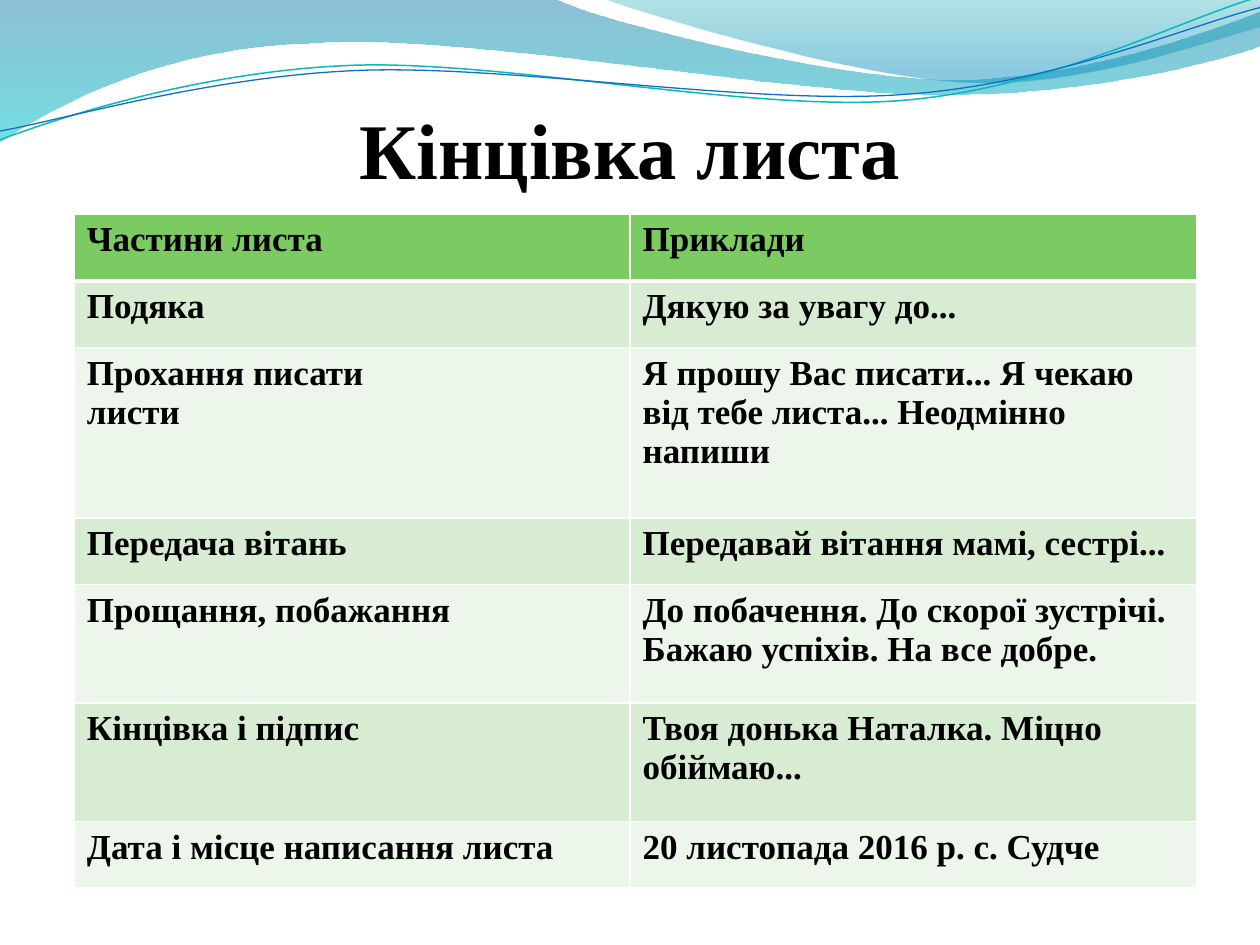
from pptx import Presentation
from pptx.dml.color import RGBColor as Rgb
from pptx.enum.text import MSO_ANCHOR as Anchor, PP_ALIGN as Align
from pptx.oxml import parse_xml
from pptx.oxml.ns import nsdecls, qn
from pptx.util import Inches, Pt
from lxml.etree import SubElement

UNIT = Inches(1)
COLS, ROWS = 10, 7.5
FONT = "Times New Roman"
BLACK = Rgb(0x00, 0x00, 0x00)
WHITE = Rgb(0xFF, 0xFF, 0xFF)
HEAD = Rgb(0x7C, 0xCA, 0x62)
BANDS = [Rgb(0xEC, 0xF6, 0xEA), Rgb(0xD7, 0xEC, 0xD3)]
BLUE = Rgb(0x00, 0x74, 0xA1)
AQUA = Rgb(0x00, 0xC6, 0xCF)
TEAL = Rgb(0x00, 0xA1, 0xA9)
SKY = Rgb(0x00, 0x8B, 0xBF)
CYAN = Rgb(0x0A, 0xB8, 0xBF)
NAVY = Rgb(0x0F, 0x6F, 0xC6)

FILLS = [
    ([(0, 0), (4.4, -0.01),
      (4.76, 0.17, 6.64, 0.63, 7.58, 0.63), (8.53, 0.63, 9.58, 0.26, 10, 0.09),
      (10.01, 0.36),
      (9.83, 0.44, 8.7, 0.76, 7.46, 0.75), (6.22, 0.75, 3.82, 0.28, 2.57, 0.34),
      (1.29, 0.36, 0.46, 0.83, -0.01, 1.13)],
     [(0, BLUE, 45), (1, AQUA, 55)]),
    ([(4.79, -0.01),
      (5.09, 0.11, 6.82, 0.62, 7.69, 0.65), (8.56, 0.69, 9.61, 0.32, 10, 0.21),
      (10, 0)],
     [(0, TEAL, 30), (0.8, SKY, 45)]),
]
LINES = [
    ([(0, 1.11), (0.48, 0.93, 1.58, 0.57, 2.77, 0.52),
      (3.95, 0.47, 5.93, 0.89, 7.13, 0.8), (8.33, 0.71, 9.38, 0.15, 9.98, -0.02)],
     CYAN, 0.85),
    ([(0, 1.04), (0.47, 0.96, 1.64, 0.61, 2.83, 0.56),
      (4.03, 0.51, 5.97, 0.84, 7.17, 0.75), (8.36, 0.67, 9.41, 0.21, 10, 0.06)],
     NAVY, 0.75),
]
WIDTHS = [4.41, 4.5]
TABLE = [
    (0.53, "Частини листа", "Приклади"),
    (0.53, "Подяка", "Дякую за увагу до..."),
    (1.35, "Прохання писати\nлисти",
     "Я прошу Вас писати... Я чекаю від тебе листа... Неодмінно напиши"),
    (0.53, "Передача вітань", "Передавай вітання мамі, сестрі..."),
    (0.94, "Прощання, побажання",
     "До побачення. До скорої зустрічі. Бажаю успіхів. На все добре."),
    (0.94, "Кінцівка і підпис", "Твоя донька Наталка. Міцно обіймаю..."),
    (0.53, "Дата і місце написання листа", "20 листопада 2016 р. с. Судче"),
]


def grid(*cells):
    return [round(cell * UNIT) for cell in cells]


def style(frame, size):
    for para in frame.paragraphs:
        for run in para.runs:
            run.font.name = FONT
            run.font.size = Pt(size)
            run.font.bold = True
            run.font.color.rgb = BLACK


def bend(shape, path):
    legs = iter(list(shape._element.spPr.iter(qn("a:lnTo"))))
    for part in path[1:]:
        first = next(legs)
        if len(part) == 6:
            first.tag = qn("a:cubicBezTo")
            for leg in (next(legs), next(legs)):
                first.append(leg[0])
                leg.getparent().remove(leg)


def curve(slide, box, path, close):
    left, top = box[:2]
    dots = [grid(left + part[i], top + part[i + 1])
            for part in path for i in range(0, len(part), 2)]
    pen = slide.shapes.build_freeform(*dots[0])
    pen.add_line_segments(dots[1:], close=False)
    shape = pen.convert_to_shape()
    shape.shadow.inherit = False
    bend(shape, path)
    if close:
        SubElement(next(shape._element.spPr.iter(qn("a:path"))), qn("a:close"))
    return shape


def shade(shape, stops):
    shape.line.fill.background()
    shape.fill.gradient()
    shape.fill.gradient_angle = 270
    for stop, (place, color, alpha) in zip(shape.fill.gradient_stops, stops):
        stop.position = place
        stop.color.rgb = color
    tints = shape._element.spPr.iter(qn("a:srgbClr"))
    for tint, (_, _, alpha) in zip(list(tints), stops):
        SubElement(tint, qn("a:alpha"), val=str(alpha * 1000))


def add_waves(slide, box):
    for path, stops in FILLS:
        shade(curve(slide, box, path, True), stops)
    for path, color, width in LINES:
        shape = curve(slide, box, path, False)
        shape.fill.background()
        shape.line.color.rgb = color
        shape.line.width = Pt(width)


def add_title(slide, box):
    frame = slide.shapes.add_textbox(*grid(*box)).text_frame
    frame.word_wrap = True
    frame.vertical_anchor = Anchor.BOTTOM
    frame.margin_left = frame.margin_right = frame.margin_bottom = 0
    frame.margin_top = UNIT // 20
    frame.text = "Кінцівка листа"
    frame.paragraphs[0].alignment = Align.CENTER
    style(frame, 45)


def edge(cell, row):
    props = cell._tc.get_or_add_tcPr()
    sizes = {"lnL": 1, "lnR": 1, "lnT": 3 if row == 1 else 1, "lnB": 3 if row == 0 else 1}
    for spot, (tag, size) in enumerate(sizes.items()):
        props.insert(spot, parse_xml(
            f'<a:{tag} {nsdecls("a")} w="{Pt(size)}"><a:solidFill>'
            f'<a:srgbClr val="{WHITE}"/></a:solidFill></a:{tag}>'))


def add_parts(slide, box):
    table = slide.shapes.add_table(len(TABLE), len(WIDTHS), *grid(*box)).table
    for col, width in zip(table.columns, grid(*WIDTHS)):
        col.width = width
    for row, (height, *texts) in enumerate(TABLE):
        table.rows[row].height = grid(height)[0]
        for col, text in enumerate(texts):
            cell = table.cell(row, col)
            cell.text_frame.text = text
            style(cell.text_frame, 20)
            cell.fill.solid()
            cell.fill.fore_color.rgb = BANDS[row % 2] if row else HEAD
            edge(cell, row)


def main():
    deck = Presentation()
    deck.slide_width, deck.slide_height = grid(COLS, ROWS)
    slide = deck.slides.add_slide(deck.slide_layouts[6])
    add_waves(slide, (0, 0, COLS, 1.13))
    add_title(slide, (0.5, 0.77, 9, 0.78))
    add_parts(slide, (0.59, 1.7, sum(WIDTHS), sum(row[0] for row in TABLE)))
    deck.save("out.pptx")


if __name__ == "__main__":
    main()
